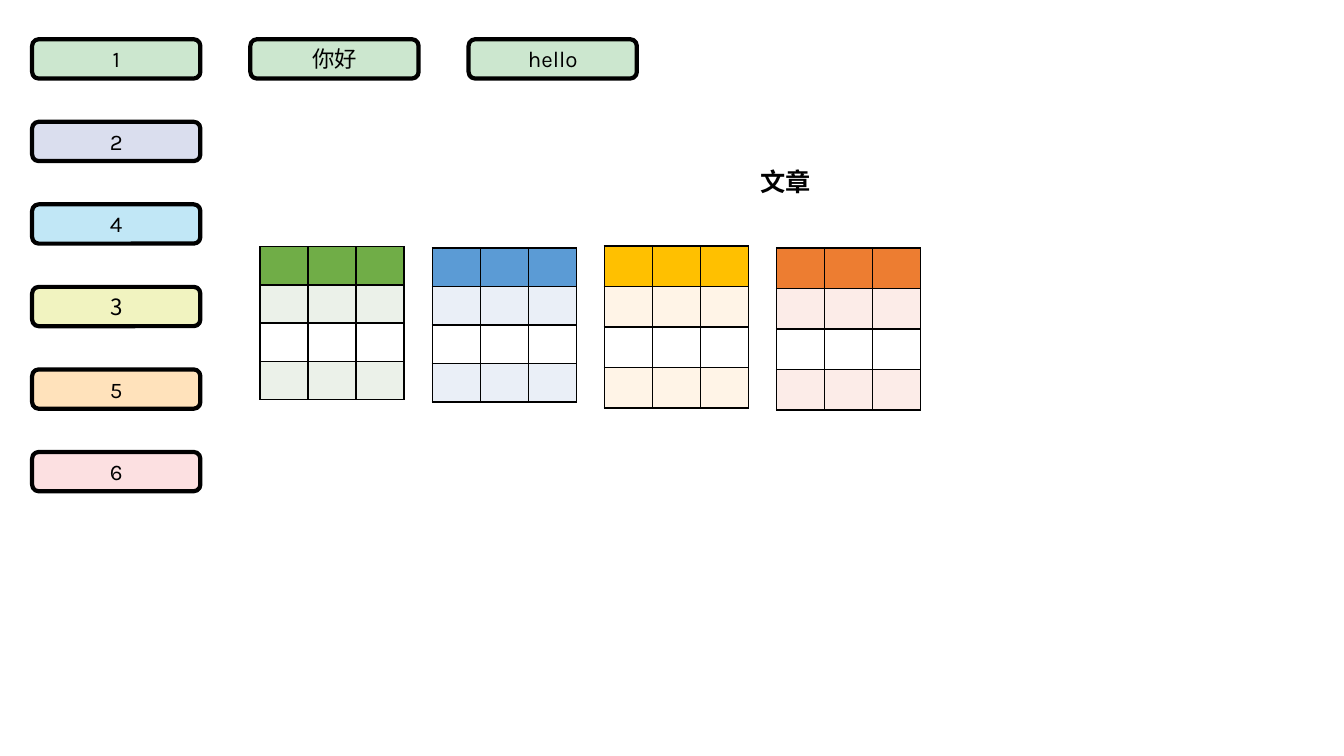
from lxml import etree
from pptx import Presentation
from pptx.dml.color import RGBColor
from pptx.enum import shapes, text
from pptx.oxml import ns
from pptx.util import Cm, Pt

BLACK, WHITE = "000000", "FFFFFF"
LEFT, TOP = 0.81, 0.99
STEP_X, STEP_Y = 5.5, 2.08
BOX_W, BOX_H = 4.24, 0.99
MINT = "CCE7CF"
LABELS = [
    ("1", MINT),
    ("2", "DADEEE"),
    ("4", "C1E7F6"),
    ("3", "F1F3C0"),
    ("5", "FFE2BB"),
    ("6", "FCE0E1"),
]
GRIDS = [  # top, row height, header colour, band colour
    (6.22, 0.96, "70AD47", "EBF1E9"),
    (6.25, 0.97, "5B9BD5", "EAEFF7"),
    (6.2, 1.02, "FFC000", "FFF4E7"),
    (6.25, 1.02, "ED7D31", "FCECE8"),
]
GRID_X, GRID_STEP, COL_W = 6.55, 4.34, 1.21
ROWS, COLS = 4, 3


def color(code):
    """Turn a hex string into a colour."""
    return RGBColor.from_string(code)


def paint(item, code):
    """Give a shape or a cell a solid fill."""
    item.fill.solid()
    item.fill.fore_color.rgb = color(code)


def write(frame, words, size=16, face="Karla", bold=False, align=None):
    """Put one formatted run of text in a frame."""
    para = frame.paragraphs[0]
    para.alignment = align
    run = para.add_run()
    run.text = words
    font = run.font
    font.size, font.name, font.bold = Pt(size), face, bold
    font.color.rgb = color(BLACK)


def add_box(slide, col, row, words, fill, face="Karla"):
    """Add a rounded label at a place in the label grid."""
    box = slide.shapes.add_shape(
        shapes.MSO_SHAPE.ROUNDED_RECTANGLE,
        Cm(LEFT + col * STEP_X), Cm(TOP + row * STEP_Y), Cm(BOX_W), Cm(BOX_H))
    box.shadow.inherit = False
    paint(box, fill)
    box.line.color.rgb = color(BLACK)
    box.line.width = Pt(3)
    box.text_frame.vertical_anchor = text.MSO_ANCHOR.MIDDLE
    write(box.text_frame, words, face=face, align=text.PP_ALIGN.CENTER)


def add_edges(cell):
    """Draw thin black borders round a cell, ahead of its fill."""
    props = cell._tc.get_or_add_tcPr()
    for place, tag in enumerate(("a:lnL", "a:lnR", "a:lnT", "a:lnB")):
        line = etree.Element(ns.qn(tag), w=str(Pt(1)))
        solid = etree.SubElement(line, ns.qn("a:solidFill"))
        etree.SubElement(solid, ns.qn("a:srgbClr"), val=BLACK)
        props.insert(place, line)


def add_grid(slide, left, top, height, head, band):
    """Add an empty table with a header row and banded rows."""
    frame = slide.shapes.add_table(
        ROWS, COLS, Cm(left), Cm(top), Cm(COLS * COL_W), Cm(ROWS * height))
    table = frame.table
    for col in table.columns:
        col.width = Cm(COL_W)
    for row, fill in zip(table.rows, (head, band, WHITE, band)):
        row.height = Cm(height)
        for cell in row.cells:
            cell.margin_top = cell.margin_bottom = 0
            paint(cell, fill)
            add_edges(cell)


def add_head(slide):
    """Add the heading above the tables."""
    box = slide.shapes.add_textbox(Cm(18.92), Cm(4.06), Cm(1.8), Cm(1.02))
    frame = box.text_frame
    frame.word_wrap = False
    frame.auto_size = text.MSO_AUTO_SIZE.SHAPE_TO_FIT_TEXT
    write(frame, "文章", size=18, face="Times New Roman", bold=True)


def main():
    """Build the slide and save it."""
    deck = Presentation()
    deck.slide_width, deck.slide_height = Cm(33.87), Cm(19.05)
    slide = deck.slides.add_slide(deck.slide_layouts[6])
    for row, (words, fill) in enumerate(LABELS):
        face = "Noto Sans CJK SC" if words == "3" else "Karla"
        add_box(slide, 0, row, words, fill, face)
    for col, words in enumerate(("你好", "hello"), 1):
        add_box(slide, col, 0, words, MINT)
    add_head(slide)
    for place, style in enumerate(GRIDS):
        add_grid(slide, GRID_X + place * GRID_STEP, *style)
    deck.save("out.pptx")


main()
